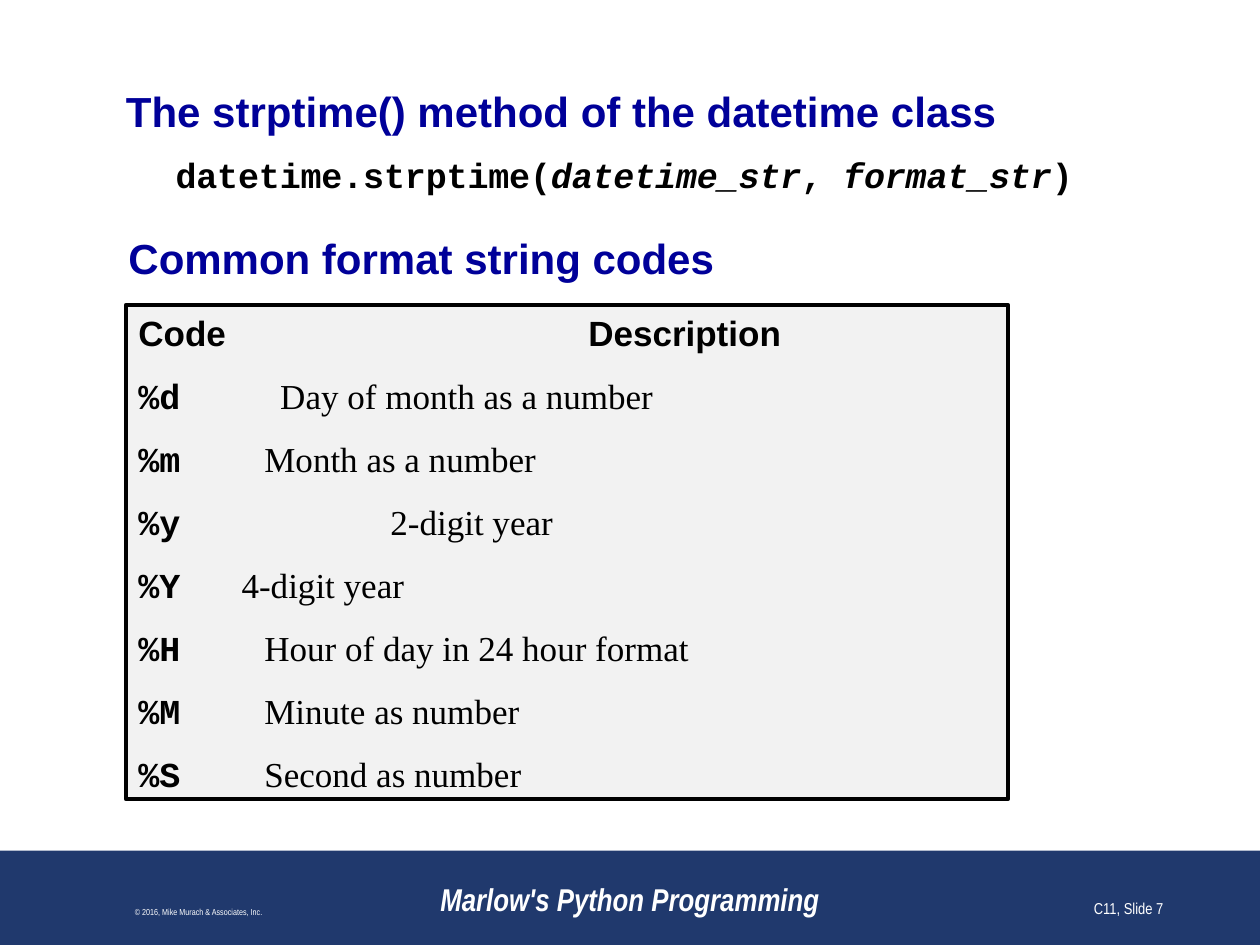
from pptx import Presentation
from pptx.dml.color import RGBColor
from pptx.enum import shapes, text
from pptx.oxml.ns import qn
from pptx.util import Cm, Pt
from lxml import etree

NAVY = RGBColor(0x20, 0x39, 0x6D)
BLUE = RGBColor(0x00, 0x00, 0x99)
BLACK = RGBColor(0, 0, 0)
WHITE = RGBColor(0xFF, 0xFF, 0xFF)
PALE_GREY = RGBColor(0xF2, 0xF2, 0xF2)

HEADING = "Arial"
CODE = "Courier New"
PROSE = "Times New Roman"
FOOTER = "Arial Narrow"

# Format code, description, and where the description starts in cm
FORMAT_CODES = [
    ("%d", "Day of month as a number", 2.86),
    ("%m", "Month as a number", 2.54),
    ("%y", "2-digit year", 5.08),
    ("%Y", "4-digit year", 2.08),
    ("%H", "Hour of day in 24 hour format", 2.54),
    ("%M", "Minute as number", 2.54),
    ("%S", "Second as number", 2.54),
]


def add_box(slide, left, top, width, height, fill=None, border=None):
    """Add a wrapping text frame, placed in cm, and return it."""
    box = slide.shapes.add_textbox(Cm(left), Cm(top), Cm(width), Cm(height))
    if fill is not None:
        box.fill.solid()
        box.fill.fore_color.rgb = fill
    if border is not None:
        box.line.color.rgb = border
        box.line.width = Pt(2.5)
    box.text_frame.word_wrap = True
    return box.text_frame


def add_run(paragraph, wording, font, size, color, bold=False, italic=False, spacing=None):
    """Add a run; spacing is in hundredths of a point."""
    run = paragraph.add_run()
    run.text = wording
    run.font.name = font
    run.font.size = Pt(size)
    run.font.color.rgb = color
    run.font.bold = bold
    run.font.italic = italic
    if spacing is not None:
        run._r.get_or_add_rPr().set("spc", str(spacing))


def hang(paragraph, indent):
    """Give a hanging indent in cm, with a tab stop at its edge."""
    properties = paragraph._p.get_or_add_pPr()
    properties.set("marL", str(Cm(indent)))
    properties.set("indent", str(-Cm(indent)))
    stops = etree.SubElement(properties, qn("a:tabLst"))
    etree.SubElement(stops, qn("a:tab"), pos=str(Cm(indent)), algn="l")


def add_title(slide):
    frame = add_box(slide, 2.54, 1.73, 20.32, 1.02)
    frame.margin_left = frame.margin_right = frame.margin_top = frame.margin_bottom = 0
    frame.vertical_anchor = text.MSO_ANCHOR.MIDDLE
    add_run(frame.paragraphs[0], "The strptime() method of the datetime class",
            HEADING, 24, BLUE, bold=True)


def add_syntax(slide):
    frame = add_box(slide, 2.34, 2.97, 20.52, 7.62, fill=WHITE)
    syntax = frame.paragraphs[0]
    syntax._p.get_or_add_pPr().set("marL", str(Cm(0.95)))
    syntax.space_after = Pt(6)
    for wording, is_argument in [("datetime.strptime(", False), ("datetime_str", True),
                                 (", ", False), ("format_str", True), (")", False)]:
        add_run(syntax, wording, CODE, 20, BLACK, bold=True, italic=is_argument, spacing=-10)

    subheading = frame.add_paragraph()
    subheading.space_before = Pt(15)
    subheading.space_after = Pt(6)
    add_run(subheading, "Common format string codes", HEADING, 24, BLUE, bold=True)


def add_format_codes(slide):
    frame = add_box(slide, 2.54, 6.15, 17.78, 9.96, fill=PALE_GREY, border=BLACK)
    header = frame.paragraphs[0]
    hang(header, 9.07)
    header.space_after = Pt(6)
    add_run(header, "Code\tDescription", HEADING, 20, BLACK, bold=True)
    for code, description, indent in FORMAT_CODES:
        entry = frame.add_paragraph()
        hang(entry, indent)
        entry.space_before = entry.space_after = Pt(6)
        add_run(entry, code, CODE, 20, BLACK, bold=True)
        add_run(entry, "\t" + description, PROSE, 20, BLACK)


def add_footer_band(slide):
    band = slide.shapes.add_shape(shapes.MSO_SHAPE.RECTANGLE,
                                  0, Cm(17.15), Cm(25.4), Cm(1.9))
    band.shadow.inherit = False
    band.fill.solid()
    band.fill.fore_color.rgb = NAVY
    band.line.fill.background()


def add_footer_text(slide, left, width, wording, size, align, emphasis=False):
    frame = add_box(slide, left, 17.35, width, 1.27)
    frame.vertical_anchor = text.MSO_ANCHOR.BOTTOM
    line = frame.paragraphs[0]
    line.alignment = align
    add_run(line, wording, FOOTER, size, WHITE, bold=emphasis, italic=emphasis)


def main():
    deck = Presentation()
    deck.slide_width, deck.slide_height = Cm(25.4), Cm(19.05)
    slide = deck.slides.add_slide(deck.slide_layouts[6])

    add_footer_band(slide)
    add_title(slide)
    add_syntax(slide)
    add_format_codes(slide)

    center, right = text.PP_ALIGN.CENTER, text.PP_ALIGN.RIGHT
    add_footer_text(slide, 7.62, 10.16, "Marlow's Python Programming", 18, center, emphasis=True)
    add_footer_text(slide, 0.2, 7.62, "© 2016, Mike Murach & Associates, Inc.", 5, center)
    add_footer_text(slide, 18.42, 5.28, "C11, Slide 7", 9, right)

    deck.save("out.pptx")


if __name__ == "__main__":
    main()
